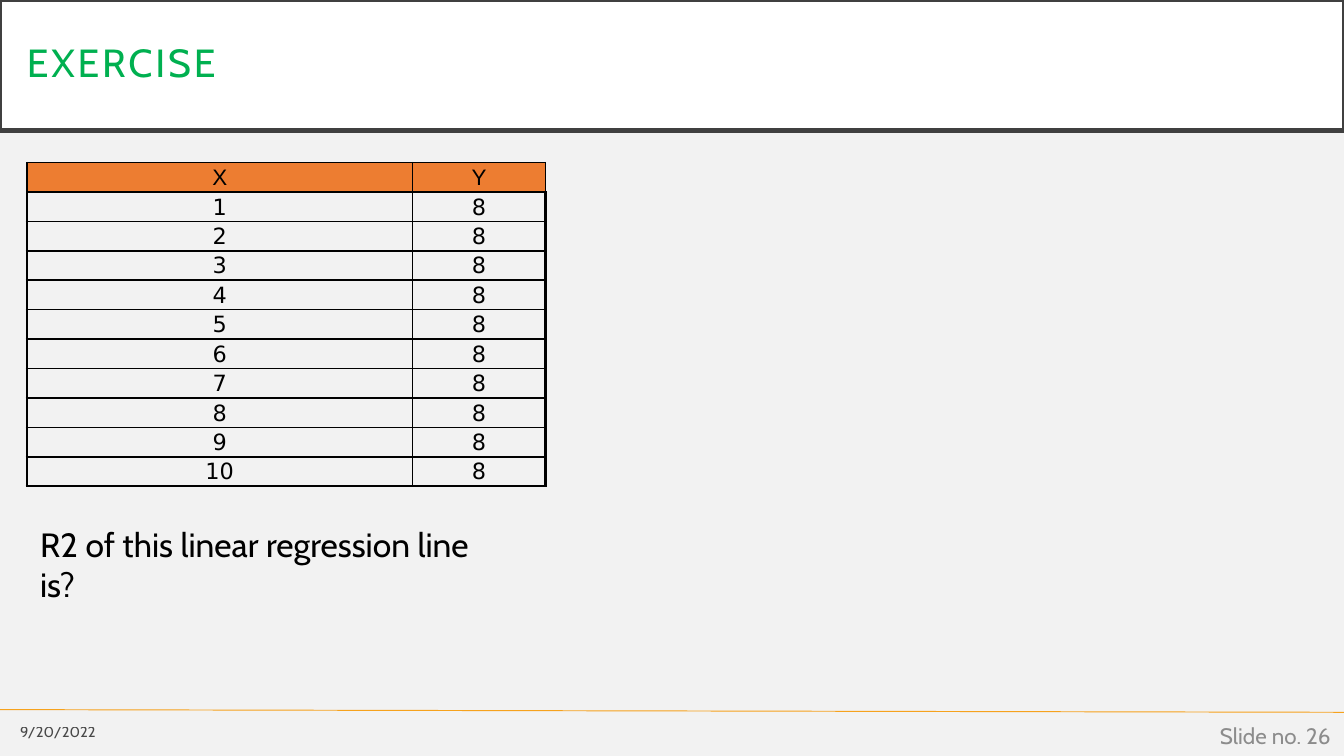
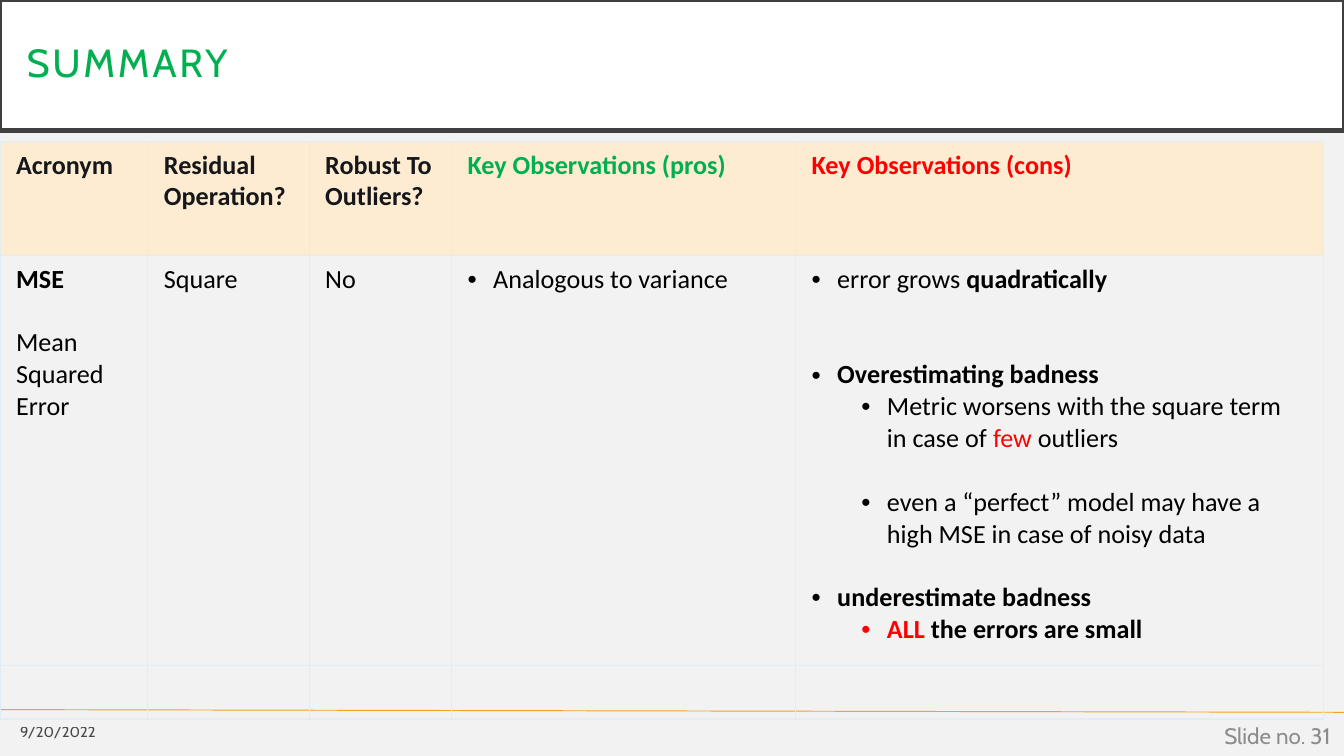
from lxml import etree
from pptx import Presentation
from pptx.dml.color import RGBColor as RGB
from pptx.enum.shapes import MSO_CONNECTOR as CONN, MSO_SHAPE as SHAPE
from pptx.enum.text import MSO_ANCHOR as ANCHOR, PP_ALIGN as ALIGN
from pptx.oxml.ns import qn
from pptx.util import Inches, Pt

C = {"bg": "F2F2F2", "white": "FFFFFF", "frame": "404040", "green": "00B050",
     "red": "FF0000", "black": "000000", "gold": "F6A21D", "grey": "8C8C8C",
     "orange": "ED7D31", "cream": "FDECD2", "ink": "15171A", "grid": "E3ECF3"}
LINE_14 = Pt(17.1)  # height of one line of 14 pt text


def add_run(p, text, size, font, color, bold=False):
    r = p.add_run()
    r.text = text
    r.font.size, r.font.name, r.font.bold = Pt(size), font, bold
    r.font.color.rgb = RGB.from_string(C[color])
    return r


def style_cell(cell, fill, margins, widths, color):
    """Set fill, margins and the left, right, top and bottom borders."""
    if fill:
        cell.fill.solid()
        cell.fill.fore_color.rgb = RGB.from_string(C[fill])
    else:
        cell.fill.background()
    (cell.margin_left, cell.margin_top,
     cell.margin_right, cell.margin_bottom) = [Inches(m) for m in margins]
    tc_pr = cell._tc.get_or_add_tcPr()
    for i, (side, width) in enumerate(zip("LRTB", widths)):
        ln = etree.Element(qn(f"a:ln{side}"), w=str(Pt(width)))
        solid = etree.SubElement(ln, qn("a:solidFill"))
        etree.SubElement(solid, qn("a:srgbClr"), val=C[color])
        tc_pr.insert(i, ln)


prs = Presentation()
prs.slide_width = Inches(10)
prs.slide_height = Inches(10 * 9 / 16)

# Shared frame: footer line, title band, date and slide number
slides = []
for title, number in [("EXERCISE", 26), ("SUMMARY", 31)]:
    s = prs.slides.add_slide(prs.slide_layouts[6])
    slides.append(s)
    s.background.fill.solid()
    s.background.fill.fore_color.rgb = RGB.from_string(C["bg"])

    line = s.shapes.add_connector(CONN.STRAIGHT, 0, Inches(5.28), Inches(10), Inches(5.3))
    line.line.color.rgb = RGB.from_string(C["gold"])
    line.line.width = Pt(0.5)
    etree.SubElement(line._element.spPr, qn("a:effectLst"))

    band = s.shapes.add_shape(SHAPE.RECTANGLE, 0, 0, Inches(10), Inches(0.97))
    band.shadow.inherit = False
    band.fill.solid()
    band.fill.fore_color.rgb = RGB.from_string(C["white"])
    band.line.color.rgb = RGB.from_string(C["frame"])
    band.line.width = Pt(2.5)
    tf = band.text_frame
    tf.vertical_anchor = ANCHOR.MIDDLE
    tf.margin_left = tf.margin_right = tf.margin_top = tf.margin_bottom = Inches(0.2)
    p = tf.paragraphs[0]
    p.alignment, p.line_spacing = ALIGN.LEFT, 0.9
    r = add_run(p, title, 21, "Cabin", "green")
    r.font._element.set("spc", "150")

    for text, x, y, w, h, size, color in [
            ("9/20/2022", 0, 5.31, 0.81, 0.27, 7.9, "black"),
            (f"Slide no. {number}", 7.75, 5.32, 2.25, 0.3, 12, "grey")]:
        sp = s.shapes.add_textbox(Inches(x), Inches(y), Inches(w), Inches(h))
        tf = sp.text_frame
        tf.word_wrap, tf.vertical_anchor = True, ANCHOR.MIDDLE
        p = tf.paragraphs[0]
        p.alignment = ALIGN.RIGHT
        r = add_run(p, text, size, "Cabin", color)
        if color == "black":  # the date is slightly transparent
            rgb = r.font._element.find(".//" + qn("a:srgbClr"))
            etree.SubElement(rgb, qn("a:alpha"), val="70000")

exercise, summary = slides

# Exercise: X and Y values
points = [("X", "Y")] + [(str(x), "8") for x in range(1, 11)]
table = exercise.shapes.add_table(len(points), 2, Inches(0.2), Inches(1.21),
                                  Inches(3.86), Inches(2.41)).table
table.first_row = table.horz_banding = False
table.columns[0].width, table.columns[1].width = Inches(2.87), Inches(0.99)
for i, values in enumerate(points):
    table.rows[i].height = Inches(2.41 / len(points))
    for j, value in enumerate(values):
        cell = table.cell(i, j)
        widths = (1, 1, 1, 1) if i == 0 else [(1.5, 1, 1, 1), (1, 1.5, 1, 1)][j]
        style_cell(cell, None if i else "orange", (0.01, 0.01, 0.01, 0), widths, "black")
        cell.vertical_anchor = ANCHOR.MIDDLE
        p = cell.text_frame.paragraphs[0]
        p.alignment = ALIGN.CENTER
        add_run(p, value, 12, "DejaVu Sans" if i else "Arial", "black")

# Exercise: question
sp = exercise.shapes.add_textbox(Inches(0.2), Inches(3.85), Inches(3.68), Inches(0.4))
sp.text_frame.word_wrap = True
add_run(sp.text_frame.paragraphs[0], "R2 of this linear regression line is?", 18, "Cabin", "black")

# Summary: each paragraph is (bullet level, lines of gap before, runs of text, colour, bold)
header = [[(None, 0, [(text, color, True)])] for text, color in [
    ("Acronym", "ink"), ("Residual Operation?", "ink"), ("Robust To Outliers?", "ink"),
    ("Key Observations (pros)", "green"), ("Key Observations (cons)", "red")]]
mse = [
    [(None, 0, [("MSE", "black", True)]),
     (None, 1, [("Mean Squared Error", "black", False)])],
    [(None, 0, [("Square", "black", False)])],
    [(None, 0, [("No", "black", False)])],
    [(0, 0, [("Analogous to variance", "black", False)])],
    [(0, 0, [("error grows ", "black", False), ("quadratically", "black", True)]),
     (0, 2, [("Overestimating badness", "black", True)]),
     (1, 0, [("Metric worsens with the square term in case of ", "black", False),
             ("few", "red", False), (" outliers", "black", False)]),
     (1, 1, [("even a “perfect” model may have a high MSE in case of noisy data",
              "black", False)]),
     (0, 1, [("underestimate badness", "black", True)]),
     (1, 0, [("ALL", "red", True), (" the errors are small", "black", True)])]]
metrics = [header, mse, [[]] * 5]

table = summary.shapes.add_table(3, 5, 0, Inches(1.05), Inches(9.85), Inches(4.26)).table
table.first_row = table.horz_banding = False
for column, width in zip(table.columns, [1.1, 1.2, 1.06, 2.56, 3.93]):
    column.width = Inches(width)
for i, height in enumerate([0.85, 3.05, 0.36]):
    table.rows[i].height = Inches(height)
    for j, paragraphs in enumerate(metrics[i]):
        cell = table.cell(i, j)
        margins = (0.12, 0.06, 0.14, 0.06) if paragraphs else (0.1, 0.05, 0.1, 0.05)
        style_cell(cell, None if i else "cream", margins, [0.75] * 4, "grid")
        tf = cell.text_frame
        for k, (level, gap, runs) in enumerate(paragraphs):
            p = tf.add_paragraph() if k else tf.paragraphs[0]
            if gap:
                p.space_before = gap * LINE_14
            if level is not None:
                p.level = level
                p_pr = p._p.get_or_add_pPr()
                p_pr.set("marL", str(Inches([0.19, 0.56][level])))
                p_pr.set("indent", str(Inches(-0.19)))
                etree.SubElement(p_pr, qn("a:buFont"), typeface="Arial")
                etree.SubElement(p_pr, qn("a:buChar"), char="•")
            for text, color, bold in runs:
                add_run(p, text, 14, "Calibri", color, bold)

prs.save("out.pptx")
